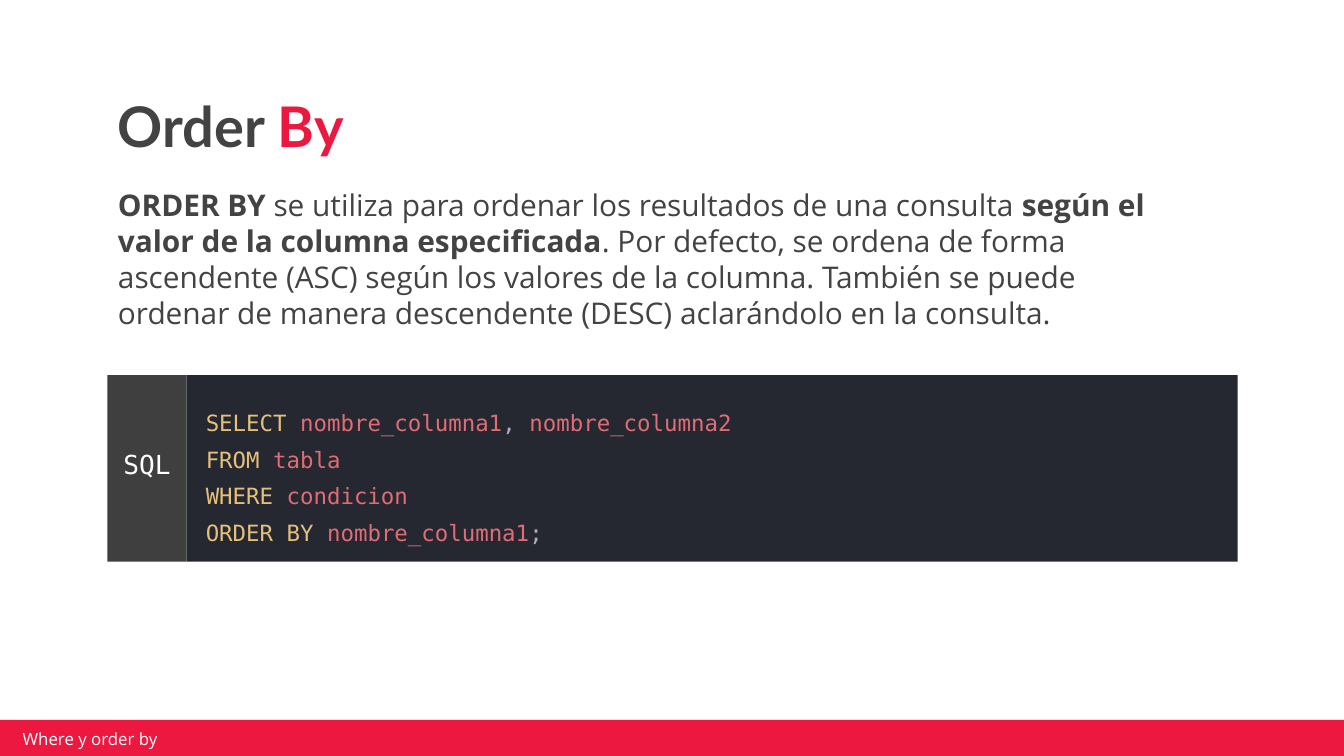
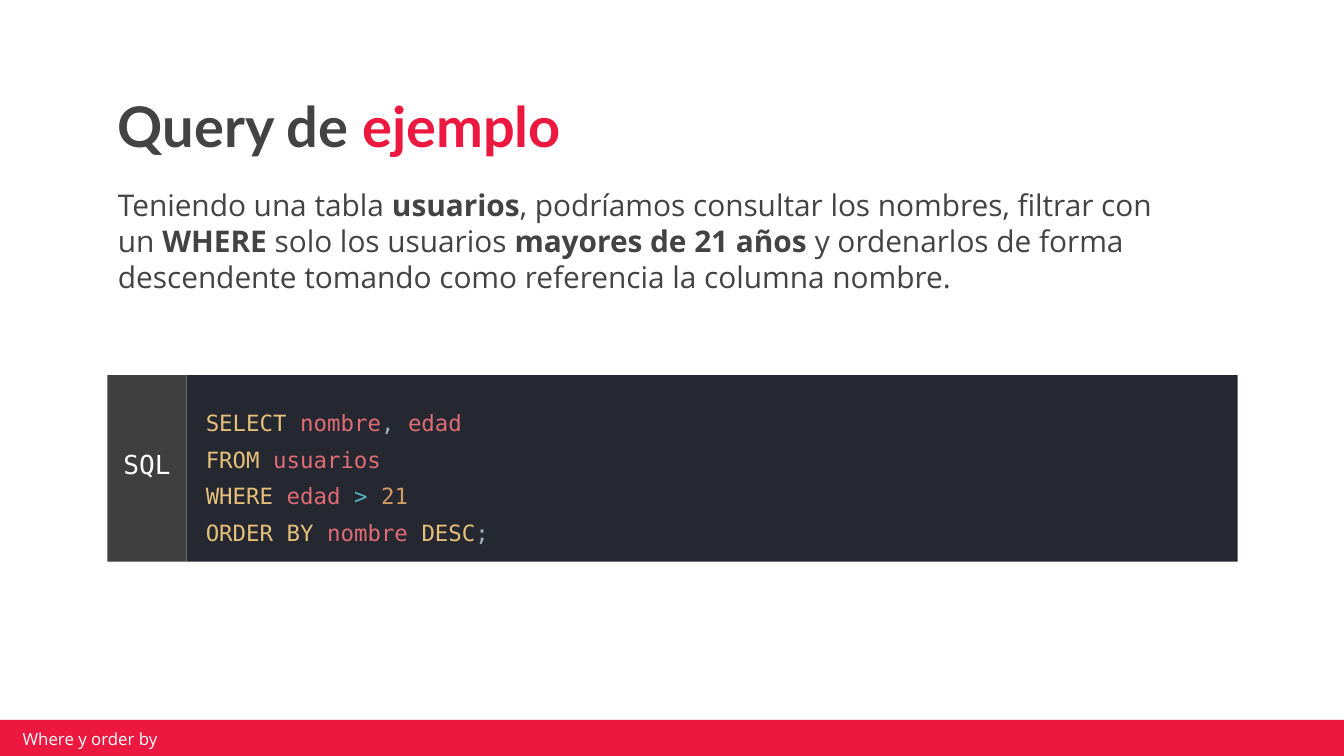
"""Build two slides about ordering SQL query results."""
from pptx import Presentation
from pptx.dml.color import RGBColor
from pptx.enum.shapes import MSO_SHAPE as Shape
from pptx.enum.text import MSO_ANCHOR as Anchor, MSO_AUTO_SIZE as AutoSize, PP_ALIGN as Align
from pptx.oxml.ns import qn
from pptx.util import Cm, Pt
from lxml.etree import SubElement

COLORS = {
    "red": "EC183F", "text": "434343", "white": "FFFFFF",
    "code": "262831", "label": "3F3F3F",
    "keyword": "E5C07B", "name": "E06C75", "mark": "ABB2BF",
    "operator": "56B6C2", "number": "D19A66",
}
TITLE_FONT, BODY_FONT, CODE_FONT = "Lato", "Open Sans", "DejaVu Sans Mono"
FOOTER = "Where y order by"
LANGUAGE = "SQL"

SLIDES = [
    {
        "title": [("Order ", "text"), ("By", "red")],
        "body": [
            ("ORDER BY", True),
            (" se utiliza para ordenar los resultados de una consulta ", False),
            ("según el valor de la columna especificada", True),
            (". Por defecto, se ordena de forma ascendente (ASC) según los valores de la columna. "
             "También se puede ordenar de manera descendente (DESC) aclarándolo en la consulta.", False),
        ],
        "code": [
            [("SELECT ", "keyword"), ("nombre_columna1", "name"), (", ", "mark"), ("nombre_columna2", "name")],
            [("FROM ", "keyword"), ("tabla", "name")],
            [("WHERE ", "keyword"), ("condicion", "name")],
            [("ORDER BY ", "keyword"), ("nombre_columna1", "name"), (";", "mark")],
        ],
    },
    {
        "title": [("Query de ", "text"), ("ejemplo", "red")],
        "body": [
            ("Teniendo una tabla ", False),
            ("usuarios", True),
            (", podríamos consultar los nombres, filtrar con un ", False),
            ("WHERE", True),
            (" solo los usuarios ", False),
            ("mayores de 21 años ", True),
            ("y ordenarlos de forma descendente tomando como referencia la columna nombre.", False),
        ],
        "code": [
            [("SELECT ", "keyword"), ("nombre", "name"), (", ", "mark"), ("edad", "name")],
            [("FROM ", "keyword"), ("usuarios", "name")],
            [("WHERE ", "keyword"), ("edad ", "name"), ("> ", "operator"), ("21", "number")],
            [("ORDER BY ", "keyword"), ("nombre ", "name"), ("DESC", "keyword"), (";", "mark")],
        ],
    },
]

TITLE_BOX = (1.98, 1.52, 21.41, 1.75)
BODY_BOX = (1.98, 3.28, 20.42, 1.88)
BAND_BOX = (-0.05, 13.61, 25.48, 0.69)
FOOTER_BOX = (0.3, 13.77, 6.07, 0.38)
CODE_LEFT, CODE_TOP, CODE_HEIGHT = 2.03, 7.09, 3.53
LABEL_WIDTH, CODE_WIDTH = 1.5, 19.86
INSETS = (0.25, 0.25, 0.25, 0.25)


def color(name):
    return RGBColor.from_string(COLORS[name])


def lengths(box):
    return [Cm(value) for value in box]


def place(shape, box):
    shape.left, shape.top, shape.width, shape.height = lengths(box)


def set_frame(shape, anchor, insets=INSETS):
    frame = shape.text_frame
    frame.word_wrap = True
    frame.auto_size = AutoSize.NONE
    frame.vertical_anchor = anchor
    frame.margin_left, frame.margin_top, frame.margin_right, frame.margin_bottom = lengths(insets)
    return frame


def add_run(paragraph, text, font, size, color_name, bold=False):
    run = paragraph.add_run()
    run.text = text
    run.font.name = font
    run.font.size = Pt(size)
    run.font.bold = bold
    run.font.color.rgb = color(color_name)


def add_rectangle(shapes, box, fill):
    shape = shapes.add_shape(Shape.RECTANGLE, *lengths(box))
    shape.shadow.inherit = False
    shape.fill.solid()
    shape.fill.fore_color.rgb = color(fill)
    shape.line.fill.background()
    return shape


def add_footer(slide):
    add_rectangle(slide.shapes, BAND_BOX, "red")
    footer = slide.shapes.add_textbox(*lengths(FOOTER_BOX))
    frame = set_frame(footer, Anchor.MIDDLE, (0.13, 0.05, 0.13, 0.05))
    add_run(frame.paragraphs[0], FOOTER, BODY_FONT, 9, "white")


def fill_title(title, runs):
    place(title, TITLE_BOX)
    paragraph = set_frame(title, Anchor.BOTTOM).paragraphs[0]
    paragraph.alignment = Align.LEFT
    paragraph.line_spacing = 0.9
    for text, color_name in runs:
        add_run(paragraph, text, TITLE_FONT, 30, color_name, True)


def fill_body(body, runs):
    place(body, BODY_BOX)
    paragraph = set_frame(body, Anchor.TOP).paragraphs[0]
    paragraph.space_before = Pt(6)
    properties = paragraph._p.get_or_add_pPr()
    properties.set("marL", "0")
    properties.set("indent", "0")
    SubElement(properties, qn("a:buNone"))
    for text, bold in runs:
        add_run(paragraph, text, BODY_FONT, 16, "text", bold)


def add_code(slide, lines):
    shapes = slide.shapes.add_group_shape().shapes
    panel_box = (CODE_LEFT + LABEL_WIDTH, CODE_TOP, CODE_WIDTH, CODE_HEIGHT)
    panel = add_rectangle(shapes, panel_box, "code")
    frame = set_frame(panel, Anchor.MIDDLE, (0.36, 0.41, 0.25, 0.25))
    for index, line in enumerate(lines):
        paragraph = frame.add_paragraph() if index else frame.paragraphs[0]
        paragraph.alignment = Align.LEFT
        paragraph.line_spacing = 1.36
        for text, color_name in line:
            add_run(paragraph, text, CODE_FONT, 12, color_name)

    label = add_rectangle(shapes, (CODE_LEFT, CODE_TOP, LABEL_WIDTH, CODE_HEIGHT), "label")
    paragraph = set_frame(label, Anchor.MIDDLE, (0.25, 0.1, 0.25, 0.25)).paragraphs[0]
    paragraph.alignment = Align.CENTER
    add_run(paragraph, LANGUAGE, CODE_FONT, 14, "white")


def main():
    presentation = Presentation()
    presentation.slide_width, presentation.slide_height = Cm(25.4), Cm(14.29)
    for content in SLIDES:
        slide = presentation.slides.add_slide(presentation.slide_layouts[1])
        add_footer(slide)
        fill_title(slide.shapes.title, content["title"])
        fill_body(slide.placeholders[1], content["body"])
        add_code(slide, content["code"])
    presentation.save("out.pptx")


if __name__ == "__main__":
    main()
